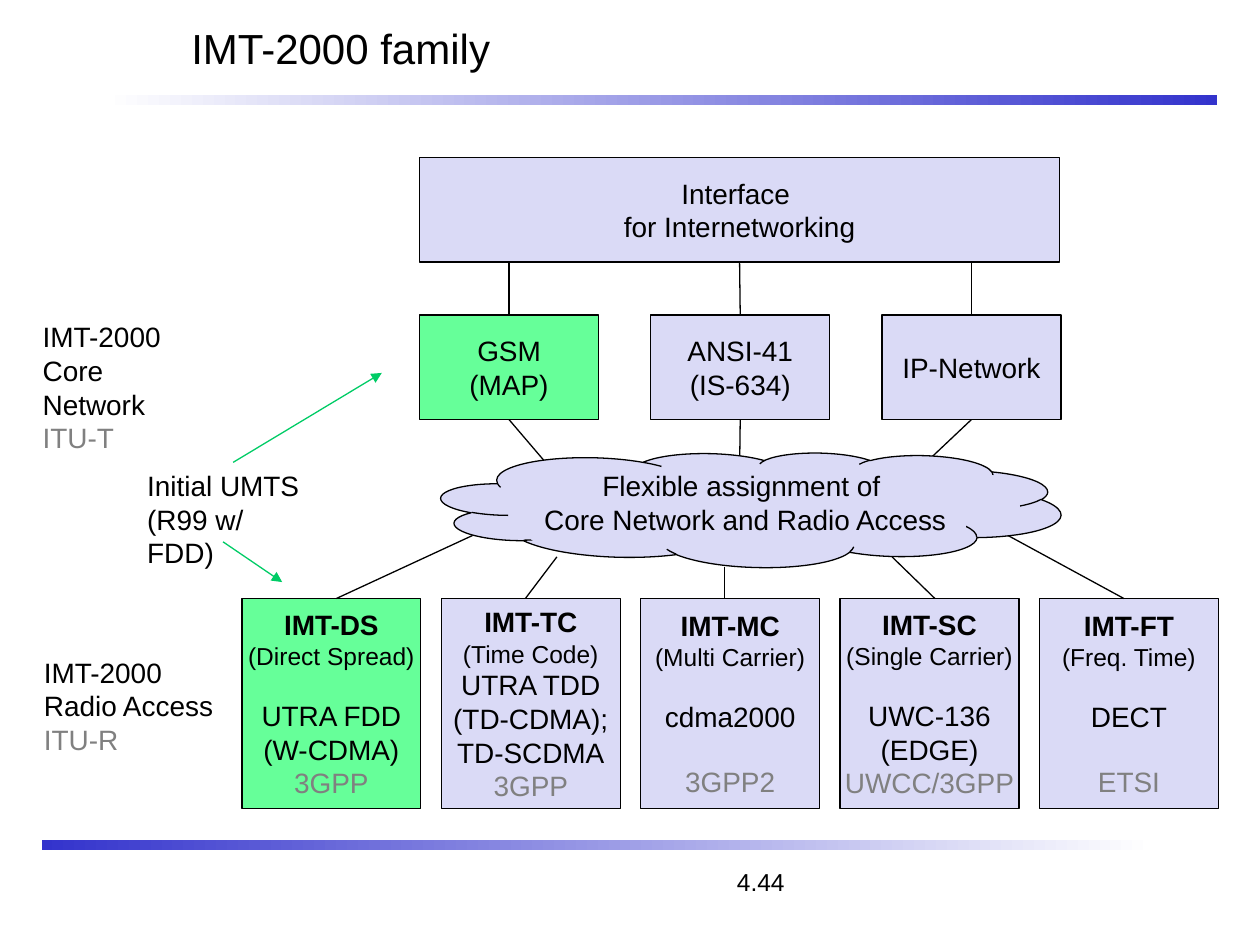
from lxml import etree
from pptx import Presentation
from pptx import util as u
from pptx.dml.color import RGBColor
from pptx.enum import shapes as kinds, text
from pptx.oxml import ns

BLACK = RGBColor(0x00, 0x00, 0x00)
WHITE = RGBColor(0xFF, 0xFF, 0xFF)
GRAY = RGBColor(0x80, 0x80, 0x80)
BLUE = RGBColor(0x33, 0x33, 0xCC)
LAVENDER = RGBColor(0xDA, 0xDA, 0xF6)
MINT = RGBColor(0x66, 0xFF, 0x99)
GREEN = RGBColor(0x00, 0xCC, 0x66)

PRESET = kinds.MSO_SHAPE
CENTER = text.PP_ALIGN.CENTER
MIDDLE = text.MSO_ANCHOR.MIDDLE

BOX_WIDTH, BOX_HEIGHT = 1.42, 0.83
CORE_LEFT, CORE_TOP, CORE_PITCH = 3.33, 2.5, (7 - 3.33) / 2
CARD_LEFT, CARD_TOP, CARD_PITCH = 1.92, 4.75, (8.25 - 1.92) / 4
CARD_HEIGHT = 1.67
SMALL_GAP, LARGE_GAP = 16, 18

CORE_NETWORKS = [["GSM", "(MAP)"], ["ANSI-41", "(IS-634)"], ["IP-Network"]]
RADIO_CARDS = [
    ("IMT-DS", "(Direct Spread)", ["UTRA FDD", "(W-CDMA)"], "3GPP"),
    ("IMT-TC", "(Time Code)", ["UTRA TDD", "(TD-CDMA);", "TD-SCDMA"], "3GPP"),
    ("IMT-MC", "(Multi Carrier)", ["cdma2000"], "3GPP2"),
    ("IMT-SC", "(Single Carrier)", ["UWC-136", "(EDGE)"], "UWCC/3GPP"),
    ("IMT-FT", "(Freq. Time)", ["DECT"], "ETSI"),
]
CORE_TO_CLOUD = [(4.33, 3.67), (5.87, 3.74), (7.35, 3.67)]
CARD_TO_CLOUD = [
    (2.67, 3.75, 4.25),
    (4.17, 4.42, 4.42),
    (5.75, 5.75, 4.5),
    (7.42, 7.08, 4.42),
    (8.92, 8, 4.25),
]


def line(words, size=16, color=BLACK, bold=False, gap=0):
    return words, size, color, bold, gap


def write(shape, lines, align=None, anchor=None, wrap=False):
    frame = shape.text_frame
    frame.word_wrap = wrap
    if anchor is not None:
        frame.vertical_anchor = anchor
    for index, (words, size, color, bold, gap) in enumerate(lines):
        para = frame.add_paragraph() if index else frame.paragraphs[0]
        para.text = words
        para.alignment = align
        if gap:
            para.space_before = u.Pt(gap)
        para.font.name = "Arial"
        para.font.size = u.Pt(size)
        para.font.bold = bold
        para.font.color.rgb = color


def add_label(shapes, place, lines, **layout):
    label = shapes.add_textbox(*map(u.Inches, place))
    write(label, lines, **layout)
    return label


def add_figure(shapes, preset, place, fill, outline=BLACK, rotation=0):
    figure = shapes.add_shape(preset, *map(u.Inches, place))
    figure.shadow.inherit = False
    figure.fill.solid()
    figure.fill.fore_color.rgb = fill
    figure.line.color.rgb = outline
    figure.line.width = u.Pt(0.75)
    figure.rotation = rotation
    return figure


def add_box(shapes, place, fill, lines):
    box = add_figure(shapes, PRESET.RECTANGLE, place, fill)
    write(box, lines, CENTER, MIDDLE)
    return box


def add_rule(shapes, place, start, end):
    rule = shapes.add_shape(PRESET.RECTANGLE, *map(u.Inches, place))
    rule.shadow.inherit = False
    rule.line.fill.background()
    rule.fill.gradient()
    rule.fill.gradient_angle = 0
    for stop, color in zip(rule.fill.gradient_stops, (start, end)):
        stop.color.rgb = color


def add_line(shapes, start, end, color=BLACK, arrow=False):
    connector = shapes.add_connector(
        kinds.MSO_CONNECTOR.STRAIGHT, *map(u.Inches, (*start, *end)))
    connector.line.color.rgb = color
    connector.line.width = u.Pt(0.75)
    properties = connector._element.spPr
    if arrow:
        outline = properties.find(ns.qn("a:ln"))
        etree.SubElement(outline, ns.qn("a:tailEnd"), type="triangle")
    etree.SubElement(properties, ns.qn("a:effectLst"))
    return connector


def add_page_number(shapes):
    number = shapes.add_textbox(*map(u.Inches, (0.33, 6.83, 8.75, 0.33)))
    properties = number.text_frame.paragraphs[0]._p.get_or_add_pPr()
    tabs = etree.SubElement(properties, ns.qn("a:tabLst"))
    etree.SubElement(tabs, ns.qn("a:tab"), pos=str(u.Inches(5.42)), algn="l")
    write(number, [line("\t4.44", 14)], wrap=True)


def add_core_networks(shapes):
    interface = add_box(shapes, (CORE_LEFT, 1.25, 5.08, BOX_HEIGHT), LAVENDER,
                        [line("Interface \vfor Internetworking")])
    for index, (names, target) in enumerate(zip(CORE_NETWORKS, CORE_TO_CLOUD)):
        left = CORE_LEFT + index * CORE_PITCH
        middle = left + BOX_WIDTH / 2
        box = add_box(shapes, (left, CORE_TOP, BOX_WIDTH, BOX_HEIGHT),
                      LAVENDER if index else MINT, [line(name) for name in names])
        upper = add_line(shapes, (middle, 1.25 + BOX_HEIGHT), (middle, CORE_TOP))
        if index == 1:
            upper.begin_connect(interface, 2)
        upper.end_connect(box, 0)
        lower = add_line(shapes, (middle, CORE_TOP + BOX_HEIGHT), target)
        lower.begin_connect(box, 2)


def add_radio_cards(shapes):
    for index, (name, mode, systems, body) in enumerate(RADIO_CARDS):
        lines = [line(name, bold=True), line(mode, 14)]
        for row, system in enumerate(systems):
            roomy = row == 0 and len(systems) < 3
            lines.append(line(system, gap=SMALL_GAP if roomy else 0))
        lines.append(line(body, color=GRAY,
                          gap=LARGE_GAP if len(systems) == 1 else 0))
        place = (CARD_LEFT + index * CARD_PITCH, CARD_TOP, BOX_WIDTH, CARD_HEIGHT)
        add_box(shapes, place, LAVENDER if index else MINT, lines)
    for start, end, bottom in CARD_TO_CLOUD:
        add_line(shapes, (start, CARD_TOP), (end, bottom))


def add_cloud(shapes):
    parts = shapes.add_group_shape().shapes
    cloud = add_figure(parts, PRESET.CLOUD_CALLOUT, (3.5, 3.58, 4.92, 0.92),
                       LAVENDER, rotation=1.4)
    cloud.adjustments[0] = -0.15
    cloud.adjustments[1] = 0.16
    add_figure(parts, PRESET.OVAL, (4.2, 4.06, 1.32, 0.31),
               LAVENDER, LAVENDER, rotation=357.4)
    add_figure(parts, PRESET.RECTANGLE, (7.08, 4, 0.58, 0.25), LAVENDER, LAVENDER)
    add_label(parts, (4, 3.67, 3.83, 0.64),
              [line("Flexible assignment of \vCore Network and Radio Access")],
              align=CENTER, wrap=True)


def add_side_labels(shapes):
    for left, top, layer, body in ((0.24, 2.49, "Core Network", "ITU-T"),
                                   (0.25, 5.15, "Radio Access", "ITU-R")):
        add_label(shapes, (left, top, 1.55, 0.9),
                  [line("IMT-2000"), line(layer), line(body, color=GRAY)])
    add_label(shapes, (1.07, 3.67, 1.55, 0.64),
              [line("Initial UMTS"), line("(R99 w/ FDD)")])
    add_line(shapes, (1.85, 3.67), (3.03, 2.96), GREEN, arrow=True)
    add_line(shapes, (1.77, 4.3), (2.24, 4.62), GREEN, arrow=True)


def main():
    deck = Presentation()
    deck.slide_width, deck.slide_height = u.Inches(10), u.Inches(7.5)
    page = deck.slides.add_slide(deck.slide_layouts[6])
    shapes = page.shapes
    add_rule(shapes, (0.83, 0.75, 8.83, 0.08), WHITE, BLUE)
    add_rule(shapes, (0.33, 6.67, 8.83, 0.08), BLUE, WHITE)
    add_page_number(shapes)
    add_label(shapes, (1.42, 0, 8.42, 0.75), [line("IMT-2000 family", 24)],
              anchor=MIDDLE, wrap=True)
    add_core_networks(shapes)
    add_radio_cards(shapes)
    add_cloud(shapes)
    add_side_labels(shapes)
    deck.save("out.pptx")


if __name__ == "__main__":
    main()
